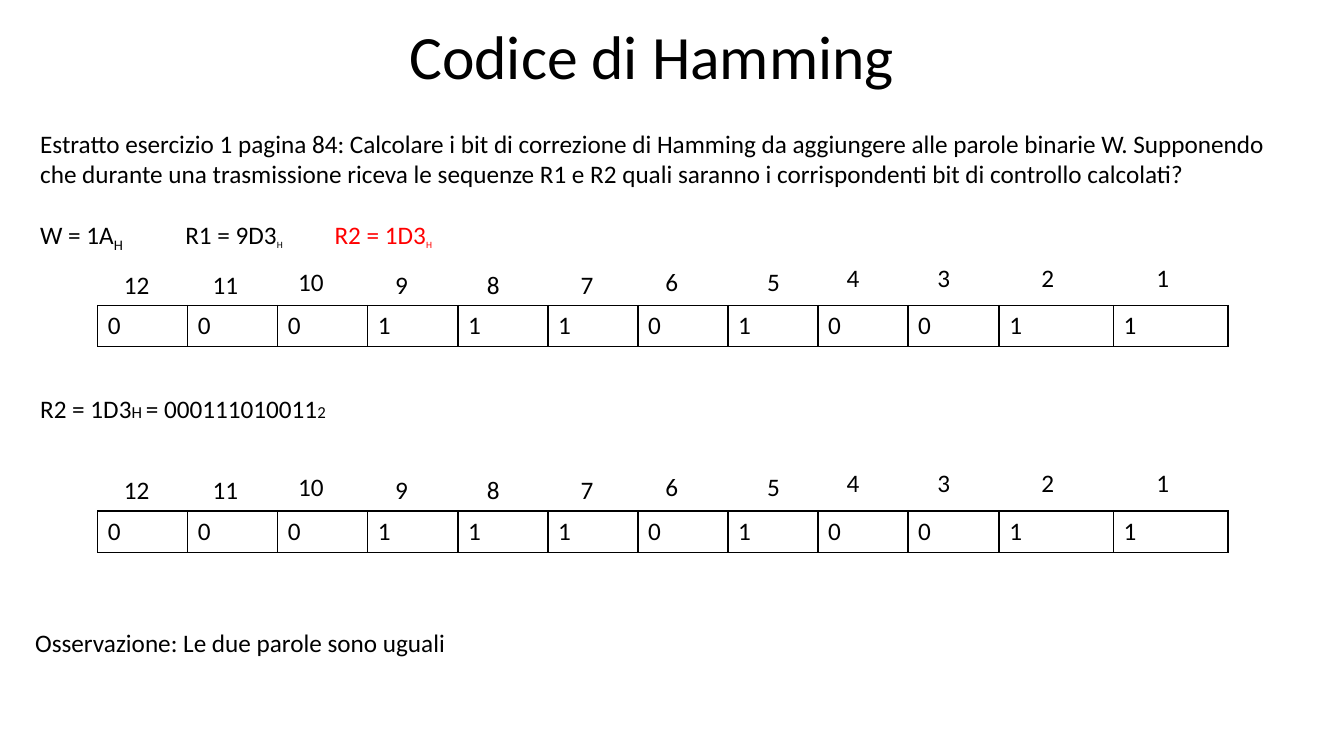
from lxml import etree
from pptx import Presentation
from pptx.dml.color import RGBColor
from pptx.enum.text import MSO_ANCHOR, MSO_AUTO_SIZE, PP_ALIGN
from pptx.oxml.ns import qn
from pptx.util import Inches, Pt

BLACK = RGBColor(0, 0, 0)
RED = RGBColor(255, 0, 0)
LEFT, MIDDLE = PP_ALIGN.LEFT, MSO_ANCHOR.MIDDLE
NO_FIT, GROW = MSO_AUTO_SIZE.NONE, MSO_AUTO_SIZE.SHAPE_TO_FIT_TEXT

prs = Presentation()
prs.slide_width, prs.slide_height = Inches(13.33), Inches(7.5)
s = prs.slides.add_slide(prs.slide_layouts[5])


def add_runs(p, *runs):
    """Each run is (text, size, colour, baseline); the last three may be left out."""
    for text, size, color, baseline in (run + (18, BLACK, 0)[len(run) - 1:] for run in runs):
        r = p.add_run()
        r.text = text
        for name, value in {"name": "Calibri", "size": Pt(size)}.items():
            setattr(r.font, name, value)
        r.font.color.rgb = color
        if baseline:
            r._r.get_or_add_rPr().set("baseline", str(baseline * 1000))


def add_text(x, y, w, h, *runs):
    tf = s.shapes.add_textbox(Inches(x), Inches(y), Inches(w), Inches(h)).text_frame
    tf.word_wrap, tf.auto_size = True, GROW
    add_runs(tf.paragraphs[0], *runs)
    return tf


# Title
title = s.shapes.title
box = {"left": 3.96, "top": 0.17, "width": 5.4, "height": 0.85}
for name, value in box.items():
    setattr(title, name, Inches(value))
tf = title.text_frame
tf.vertical_anchor, tf.auto_size = MIDDLE, NO_FIT
p = tf.paragraphs[0]
p.alignment, p.line_spacing = LEFT, 0.9
add_runs(p, ("Codice di Hamming", 44))

# Exercise text, with the three words set on tab stops
tf = add_text(0.3, 1.22, 12.7, 1.62, (
    "Estratto esercizio 1 pagina 84: Calcolare i bit di correzione di Hamming da "
    "aggiungere alle parole binarie W. Supponendo che durante una trasmissione riceva "
    "le sequenze R1 e R2 quali saranno i corrispondenti bit di controllo calcolati?",))
p = tf.add_paragraph()
p.space_before = Pt(22)
tabs = etree.SubElement(p._p.get_or_add_pPr(), qn("a:tabLst"))
for stop in (1.44, 2.92):
    etree.SubElement(tabs, qn("a:tab"), pos=str(Inches(stop)), algn="l")
add_runs(p, ("W = 1A",), ("H", 18, BLACK, -25),
         ("\tR1 = 9D3",), ("H", 12, BLACK, -25),
         ("\tR2 = 1D3", 18, RED), ("H", 12, RED, -25))

# Two words of 12 bits: data tables and their position numbers
ROW_H = 0.41
TABLES = [(0.97, 8.93, "0001110100"), (9.91, 2.27, "11")]
LABEL_X = [11.37, 10.23, 9.2, 8.3, 7.51, 6.5, 5.66, 4.73, 3.82, 2.86, 2.01, 1.13]
LABEL_RISE = [0.48] * 4 + [0.44] * 2 + [0.41] * 3 + [0.44] + [0.41] * 2

for top in (3.03, 5.07):
    for x, width, bits in TABLES:
        table = s.shapes.add_table(1, len(bits), Inches(x), Inches(top),
                                   Inches(width), Inches(ROW_H)).table
        table.first_row = table.horz_banding = False
        for col, bit in enumerate(bits):
            table.columns[col].width = Inches(width / len(bits))
            cell = table.cell(0, col)
            add_runs(cell.text_frame.paragraphs[0], (bit,))
            tcPr = cell._tc.get_or_add_tcPr()
            for side in ("a:lnL", "a:lnR", "a:lnT", "a:lnB"):
                ln = etree.SubElement(tcPr, qn(side), w=str(Pt(1)))
                fill = etree.SubElement(ln, qn("a:solidFill"))
                etree.SubElement(fill, qn("a:srgbClr"), val=str(BLACK))
            cell.fill.background()
    for number, (x, rise) in enumerate(zip(LABEL_X, LABEL_RISE), 1):
        add_text(x, top - rise, 0.53, 0.4, (str(number),))

# Conversion of R2 and closing remark
add_text(0.3, 3.85, 3.66, 0.4, ("R2 = 1D3",), ("H ", 12), ("= 000111010011",), ("2", 12))
add_text(0.25, 6.17, 12.37, 0.4, ("Osservazione: Le due parole sono uguali",))

prs.save("out.pptx")
